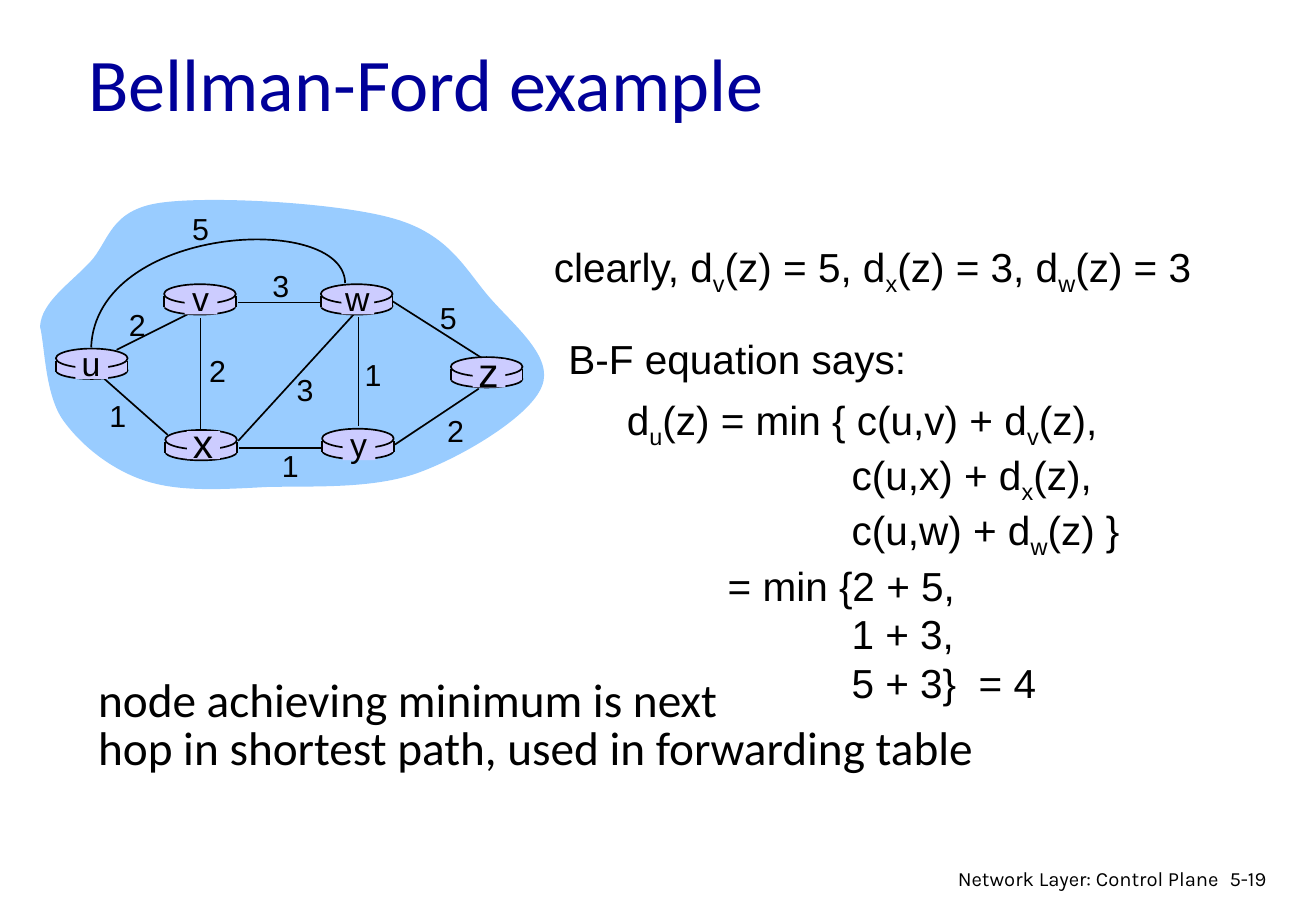
from pptx import Presentation
from pptx.dml.color import RGBColor
from pptx.enum.shapes import MSO_CONNECTOR, MSO_SHAPE
from pptx.enum.text import MSO_ANCHOR, PP_ALIGN
from pptx.oxml.ns import qn
from pptx.util import Inches, Pt
from lxml import etree

LEFT, CENTER, RIGHT = PP_ALIGN.LEFT, PP_ALIGN.CENTER, PP_ALIGN.RIGHT
TOP, MIDDLE = MSO_ANCHOR.TOP, MSO_ANCHOR.MIDDLE
ELLIPSE, RECT = MSO_SHAPE.OVAL, MSO_SHAPE.RECTANGLE
STRAIGHT = MSO_CONNECTOR.STRAIGHT
BLACK, NAVY, SKY, LILAC = "000000", "000099", "99CCFF", "CCCCFF"

prs = Presentation()
prs.slide_width, prs.slide_height = Inches(10.83), Inches(7.5)
s = prs.slides.add_slide(prs.slide_layouts[6])


def paint(sp, fill=None, line=None):
    if fill:
        sp.fill.solid()
        sp.fill.fore_color.rgb = RGBColor.from_string(fill)
    elif hasattr(sp, "fill"):
        sp.fill.background()
    if line:
        sp.line.color.rgb = RGBColor.from_string(line)
        sp.line.width = Pt(1)
    else:
        sp.line.fill.background()
    if hasattr(sp, "shadow"):
        sp.shadow.inherit = False
    else:
        etree.SubElement(sp._element.spPr, qn("a:effectLst"))


def add_text(box, lines, size, font="Arial", color=BLACK, align=LEFT,
             anchor=TOP, spacing=None):
    tf = s.shapes.add_textbox(*map(Inches, box)).text_frame
    tf.word_wrap = True
    tf.vertical_anchor = anchor
    for i, (indent, text) in enumerate(lines):
        p = tf.paragraphs[0] if i == 0 else tf.add_paragraph()
        p.alignment = align
        p.line_spacing = spacing
        p.font.size, p.font.name = Pt(size), font
        p.font.color.rgb = RGBColor.from_string(color)
        if indent:
            p._p.get_or_add_pPr().set("marL", str(Inches(indent)))
        first, *rest = text.split("_")
        p.add_run().text = first
        for part in rest:
            r = p.add_run()
            r.text = part[0]
            r._r.get_or_add_rPr().set("baseline", "-25000")
            p.add_run().text = part[1:]


add_text((0.63, 0.19, 9.21, 0.96), [(0, "Bellman-Ford example")], 44, "Calibri",
         NAVY, anchor=MIDDLE)

cloud = [(0.33, 2.69), (0.34, 2.49), (0.57, 2.34), (0.74, 2.16),
         (0.9, 1.99), (0.9, 1.73), (1.32, 1.67), (1.74, 1.61), (2.79, 1.67),
         (3.24, 1.8), (3.7, 1.93), (3.83, 2.22), (4.03, 2.45), (4.23, 2.68),
         (4.56, 2.94), (4.46, 3.18), (4.37, 3.42), (3.83, 3.75), (3.45, 3.89),
         (3.07, 4.03), (2.57, 4), (2.19, 4.01), (1.82, 4.03), (1.48, 4.05),
         (1.2, 3.96), (0.92, 3.87), (0.67, 3.67), (0.52, 3.46), (0.37, 3.25),
         (0.37, 2.85), (0.33, 2.69)]
u_w_arc = [(2.84, 2.33), (2.83, 1.74), (0.79, 1.85), (0.75, 2.86)]
for points, closed, fill, line in [(cloud, True, SKY, None),
                                   (u_w_arc, False, None, BLACK)]:
    points = [(Inches(x), Inches(y)) for x, y in points]
    builder = s.shapes.build_freeform(*points[0])
    builder.add_line_segments(points[1:], close=closed)
    sp = builder.convert_to_shape()
    paint(sp, fill, line)
    segments = list(sp._element.iter(qn("a:lnTo")))
    for i in range(0, len(points) - 1, 3):
        curve = etree.Element(qn("a:cubicBezTo"))
        segments[i].addprevious(curve)
        for segment in segments[i:i + 3]:
            curve.append(segment[0])
            segment.getparent().remove(segment)

links = [(0.96, 2.88, 1.6, 2.56), (2.95, 2.61, 2.95, 3.51),
         (1.65, 2.62, 1.65, 3.55), (1.96, 3.63, 2.91, 2.59),
         (3.25, 3.66, 3.94, 3.2), (2.66, 3.69, 1.97, 3.69),
         (1.38, 3.58, 0.86, 3.12), (2.65, 2.49, 1.96, 2.49),
         (3.97, 2.95, 3.23, 2.48)]
for link in links:
    paint(s.shapes.add_connector(STRAIGHT, *map(Inches, link)), line=BLACK)

routers = [("u", 0.46, 2.87, 0.75, 3.0, 20), ("x", 1.36, 3.54, 1.67, 3.66, 24),
           ("v", 1.35, 2.34, 1.65, 2.47, 20), ("w", 2.64, 2.34, 2.94, 2.47, 20),
           ("y", 2.65, 3.53, 2.95, 3.67, 20), ("z", 3.71, 2.94, 4.02, 3.07, 24)]
for name, x, y, cx, cy, size in routers:
    parts = [(ELLIPSE, x, y + 0.11, 0.59, 0.14, BLACK),
             (RECT, x, y + 0.1, 0.59, 0.09, None),
             (ELLIPSE, x, y, 0.59, 0.16, BLACK),
             (RECT, cx - 0.13, cy - 0.11, 0.27, 0.23, None)]
    for kind, *box, line in parts:
        paint(s.shapes.add_shape(kind, *map(Inches, box)), LILAC, line)
    for side in (x, x + 0.59):
        edge = (side, y + 0.1, side, y + 0.19)
        paint(s.shapes.add_connector(STRAIGHT, *map(Inches, edge)), line=BLACK)
    height = 0.44 if size == 20 else 0.51
    add_text((cx - 0.2, cy - 0.01 - height / 2, 0.4, height), [(0, name)], size,
             align=CENTER)

costs = [("2", 0.96, 2.47), ("2", 1.62, 2.85), ("1", 0.8, 3.22),
         ("3", 2.34, 3.01), ("1", 2.22, 3.63), ("1", 2.9, 2.88),
         ("2", 3.58, 3.34), ("5", 3.52, 2.41), ("3", 2.14, 2.15),
         ("5", 1.48, 1.68)]
for cost, x, y in costs:
    add_text((x, y, 0.34, 0.4), [(0, cost)], 18, align=CENTER)

add_text((4.46, 1.94, 5.54, 0.5),
         [(0, "clearly, d_v(z) = 5, d_x(z) = 3, d_w(z) = 3")], 24)
add_text((4.58, 2.7, 3.01, 0.5), [(0, "B-F equation says:")], 24)
add_text((5.06, 3.2, 4.31, 2.52),
         [(0, "d_u(z) = min { c(u,v) + d_v(z),"),
          (1.85, "c(u,x) + d_x(z),"),
          (1.85, "c(u,w) + d_w(z) }"),
          (0.83, "= min {2 + 5,"),
          (1.85, "1 + 3,"),
          (1.85, "5 + 3}  = 4")], 24)
add_text((0.71, 5.54, 7.43, 0.9),
         [(0, "node achieving minimum is next"),
          (0, "hop in shortest path, used in forwarding table")],
         28, "Calibri", spacing=0.85)
add_text((7.55, 7.08, 2.58, 0.26), [(0, "Network Layer: Control Plane")], 12,
         "Karla", align=RIGHT)
add_text((10.02, 7.08, 0.65, 0.3), [(0, "5-19")], 12, "Karla")

prs.save("out.pptx")
